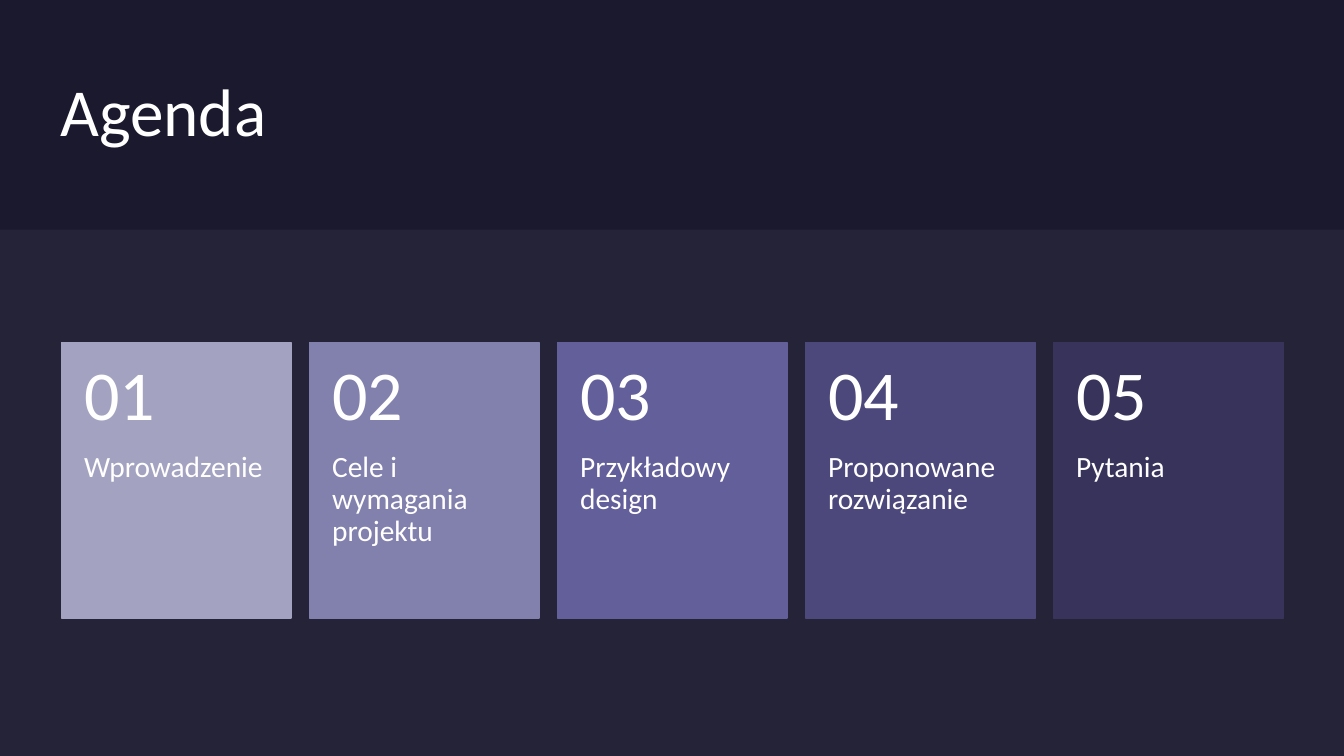
from dataclasses import dataclass

from lxml import etree
from pptx import Presentation
from pptx.dml.color import RGBColor
from pptx.enum.shapes import MSO_SHAPE
from pptx.enum.text import MSO_ANCHOR, MSO_AUTO_SIZE, PP_ALIGN
from pptx.oxml.ns import qn
from pptx.shapes.autoshape import Shape
from pptx.slide import Slide
from pptx.text.text import TextFrame
from pptx.util import Cm, Pt

RECTANGLE = MSO_SHAPE.RECTANGLE
TOP, MIDDLE = MSO_ANCHOR.TOP, MSO_ANCHOR.MIDDLE
NO_AUTOFIT = MSO_AUTO_SIZE.NONE
LEFT = PP_ALIGN.LEFT
TITLE_ONLY = 5


@dataclass(frozen=True)
class Theme:
    font: str = "Calibri"
    background: str = "1B192E"
    band: str = "E4E3F0"
    band_opacity: int = 5
    text: str = "FFFFFF"
    title_size: int = 48
    number_size: int = 50
    label_size: int = 21


@dataclass(frozen=True)
class Box:
    """Position, size and inner margins, in centimetres."""
    left: float
    top: float
    width: float
    height: float
    side: float = 0
    inset_top: float = 0
    inset_bottom: float = 0


@dataclass(frozen=True)
class AgendaItem:
    label: str
    color: str


THEME = Theme()
SLIDE_W, SLIDE_H = 33.87, 19.05
BAND_TOP = 5.79
CARD_LEFT, CARD_TOP, CARD_W, CARD_H = 1.55, 8.63, 5.79, 6.94
CARD_PITCH = 6.25
NUMBER_H = 2.77
CARD_SIDE = 0.57

AGENDA = [
    AgendaItem("Wprowadzenie", "A3A3C1"),
    AgendaItem("Cele i wymagania projektu", "8281AE"),
    AgendaItem("Przykładowy design", "625F9A"),
    AgendaItem("Proponowane rozwiązanie", "4C487B"),
    AgendaItem("Pytania", "37335B"),
]


def write(tf: TextFrame, text: str, size: int, box: Box,
          anchor: MSO_ANCHOR, spacing: float) -> None:
    tf.word_wrap = True
    tf.auto_size = NO_AUTOFIT
    tf.vertical_anchor = anchor
    tf.margin_left = tf.margin_right = Cm(box.side)
    tf.margin_top, tf.margin_bottom = Cm(box.inset_top), Cm(box.inset_bottom)
    p = tf.paragraphs[0]
    p.text = text
    p.alignment = LEFT
    p.line_spacing = spacing
    p.font.name = THEME.font
    p.font.size = Pt(size)
    p.font.color.rgb = RGBColor.from_string(THEME.text)


def add_text(s: Slide, text: str, size: int, box: Box, anchor: MSO_ANCHOR) -> None:
    sp = s.shapes.add_textbox(Cm(box.left), Cm(box.top), Cm(box.width), Cm(box.height))
    write(sp.text_frame, text, size, box, anchor, 0.9)


def add_rectangle(s: Slide, box: Box, color: str) -> Shape:
    sp = s.shapes.add_shape(RECTANGLE, Cm(box.left), Cm(box.top),
                            Cm(box.width), Cm(box.height))
    sp.shadow.inherit = False
    sp.fill.solid()
    sp.fill.fore_color.rgb = RGBColor.from_string(color)
    sp.line.fill.background()
    return sp


def add_title(s: Slide) -> None:
    box = Box(1.52, 1.52, 20.29, 2.74)
    sp = s.shapes.title
    sp.left, sp.top = Cm(box.left), Cm(box.top)
    sp.width, sp.height = Cm(box.width), Cm(box.height)
    write(sp.text_frame, "Agenda", THEME.title_size, box, MIDDLE, 0.9)


def add_band(s: Slide) -> None:
    """Lay a faint translucent panel over the lower part of the slide."""
    sp = add_rectangle(s, Box(0, BAND_TOP, SLIDE_W, SLIDE_H - BAND_TOP), THEME.band)
    color = sp.fill._xPr.find(qn("a:solidFill"))[0]
    etree.SubElement(color, qn("a:alpha"), val=str(THEME.band_opacity * 1000))


def add_card(s: Slide, index: int, item: AgendaItem) -> None:
    left = CARD_LEFT + index * CARD_PITCH
    card = add_rectangle(s, Box(left, CARD_TOP, CARD_W, CARD_H), item.color)
    card.line.color.rgb = RGBColor.from_string(item.color)
    card.line.width = Pt(1)
    label_box = Box(left, CARD_TOP + NUMBER_H, CARD_W, CARD_H - NUMBER_H,
                    CARD_SIDE, 0, 0.91)
    number_box = Box(left, CARD_TOP, CARD_W, NUMBER_H, CARD_SIDE, 0.46, 0.46)
    add_text(s, item.label, THEME.label_size, label_box, TOP)
    add_text(s, f"{index + 1:02d}", THEME.number_size, number_box, MIDDLE)


def main() -> None:
    prs = Presentation()
    prs.slide_width, prs.slide_height = Cm(SLIDE_W), Cm(SLIDE_H)
    s = prs.slides.add_slide(prs.slide_layouts[TITLE_ONLY])
    s.background.fill.solid()
    s.background.fill.fore_color.rgb = RGBColor.from_string(THEME.background)
    add_title(s)
    add_band(s)
    for index, item in enumerate(AGENDA):
        add_card(s, index, item)
    prs.save("out.pptx")


if __name__ == "__main__":
    main()
